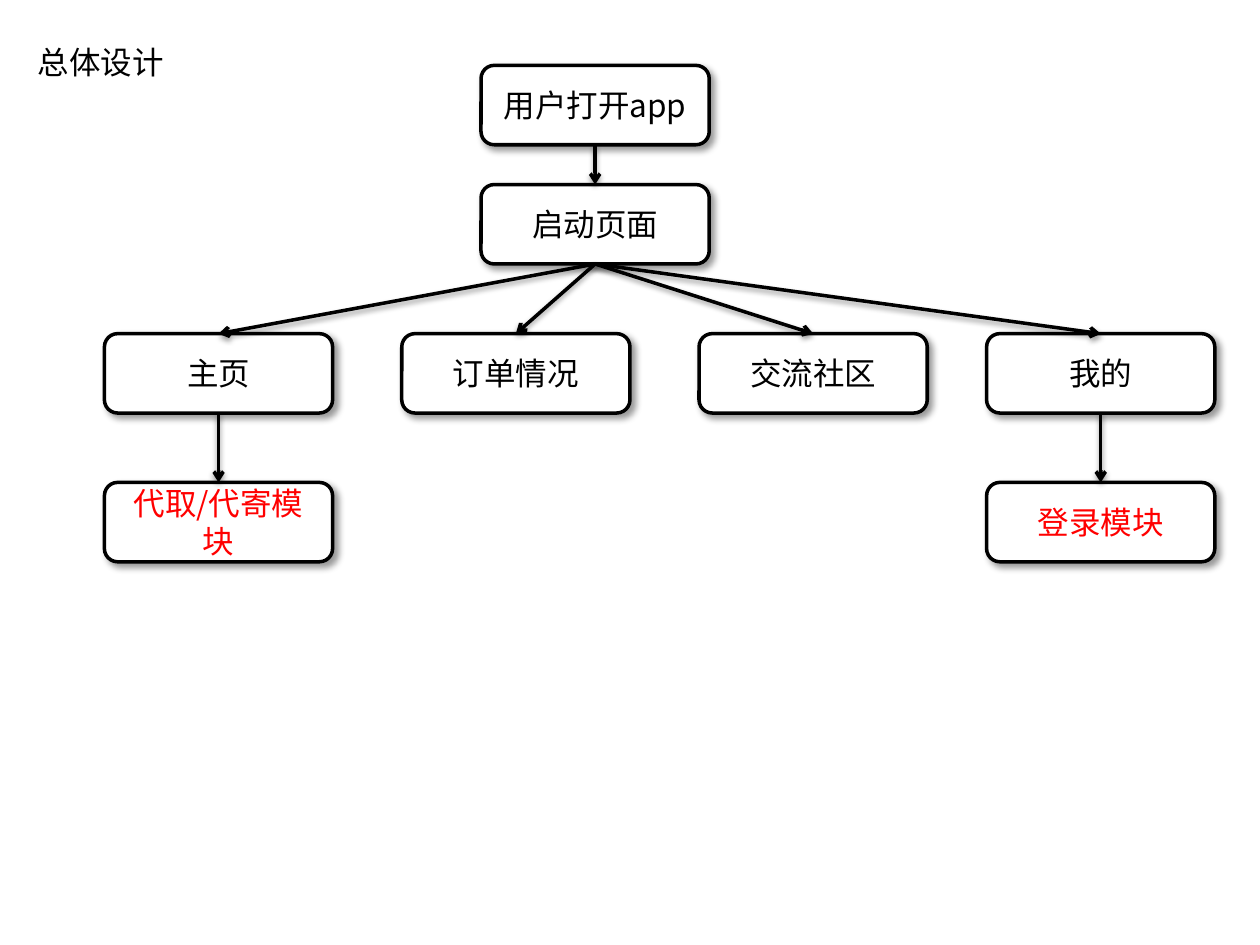
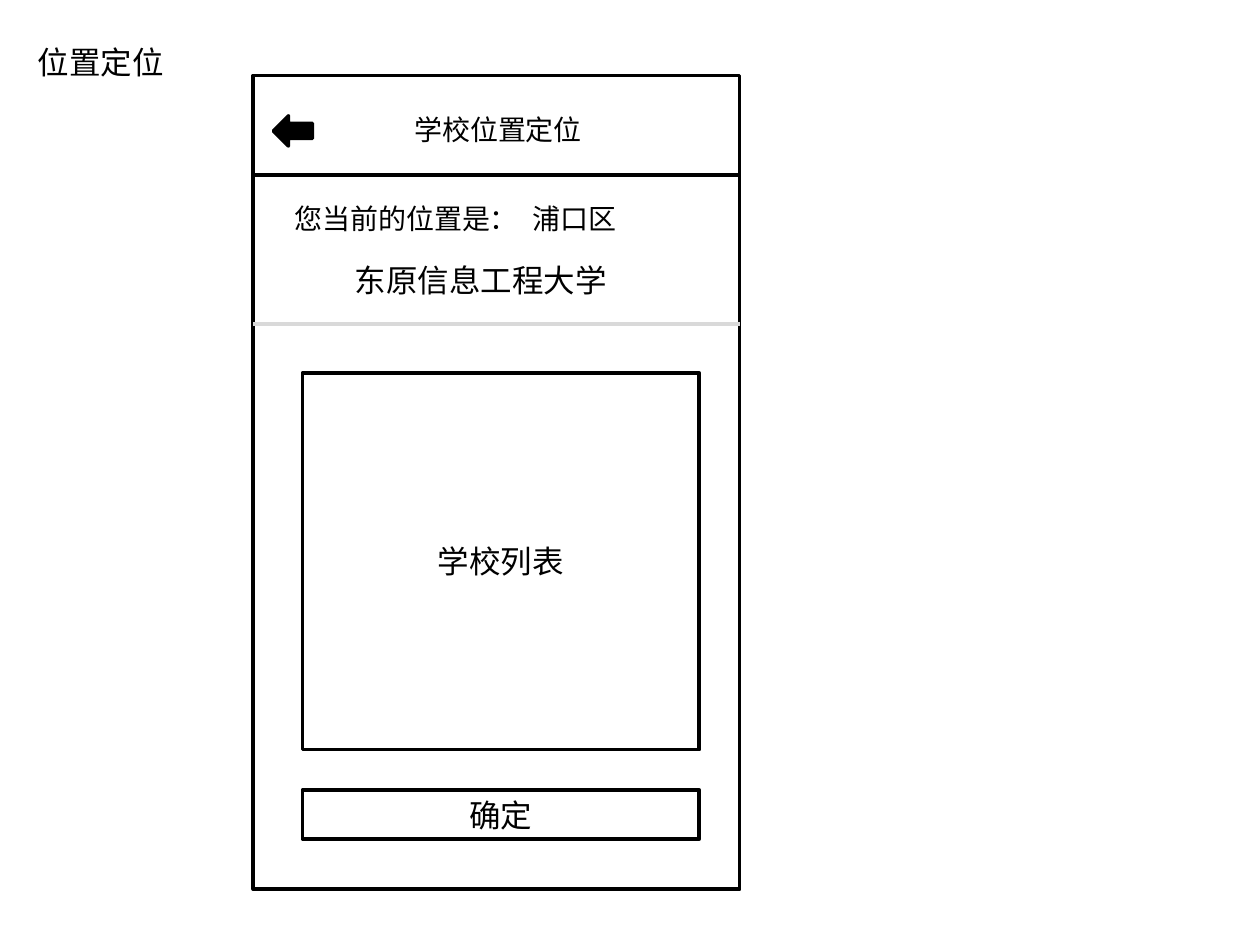
from dataclasses import dataclass

import lxml.etree
import pptx
import pptx.dml.color
import pptx.enum.shapes
import pptx.enum.text
import pptx.oxml.ns
import pptx.util

Pt = pptx.util.Pt
qn = pptx.oxml.ns.qn
Preset = pptx.enum.shapes.MSO_SHAPE
Align = pptx.enum.text.PP_ALIGN

COLORS = {"ink": "000000", "paper": "FFFFFF", "module": "FF0000", "divider": "D9D9D9"}
FONT = "Noto Sans CJK SC"
NODE_WIDTH, NODE_HEIGHT = 130.4, 45.36


@dataclass(frozen=True)
class Shadow:
    blur: float
    distance: float
    angle: int
    opacity: int


@dataclass(frozen=True)
class Node:
    text: str
    left: float
    top: float
    parent: str = ""
    color: str = "ink"


@dataclass(frozen=True)
class Label:
    text: str
    left: float
    top: float
    width: float
    size: float = 18


@dataclass(frozen=True)
class Panel:
    left: float
    top: float
    width: float
    height: float
    text: str = ""
    preset: Preset = Preset.RECTANGLE
    fill: str = "paper"
    font: str = FONT


NODE_SHADOW = Shadow(4, 3, 45, 40)
ARROW_SHADOW = Shadow(3.15, 1.57, 90, 38)

TREE_LEFT, TREE_MIDDLE, TREE_RIGHT = 59.7, 274.9, 563.8
MENU_STEP = 169.9
ROWS = (37.4, 105.5, 190.7, 275.7)
NODES = (
    Node("用户打开app", TREE_MIDDLE, ROWS[0]),
    Node("启动页面", TREE_MIDDLE, ROWS[1], "用户打开app"),
    Node("主页", TREE_LEFT, ROWS[2], "启动页面"),
    Node("订单情况", TREE_LEFT + MENU_STEP, ROWS[2], "启动页面"),
    Node("交流社区", TREE_LEFT + 2 * MENU_STEP, ROWS[2], "启动页面"),
    Node("我的", TREE_RIGHT, ROWS[2], "启动页面"),
    Node("代取/代寄模块", TREE_LEFT, ROWS[3], "主页", "module"),
    Node("登录模块", TREE_RIGHT, ROWS[3], "我的", "module"),
)

PHONE = Panel(144.7, 43.2, 278, 465)
PANELS = (
    PHONE,
    Panel(156.2, 66.2, 22.3, 17.3, preset=Preset.LEFT_ARROW, fill="ink"),
    Panel(172.8, 213.1, 226.8, 215.3, "学校列表", font="Calibri"),
    Panel(172.8, 451.4, 226.8, 28.1, "确定"),
)
DIVIDERS = ((100.1, "ink"), (185, "divider"))
LABELS = (
    Label("学校位置定位", 229.7, 60.5, 118.8, 16),
    Label("您当前的位置是：", 161.3, 111.6, 170, 16),
    Label("浦口区", 297.4, 111.6, 85, 16),
    Label("东原信息工程大学", 195.8, 145.4, 175.7),
)


def rgb(name: str) -> pptx.dml.color.RGBColor:
    return pptx.dml.color.RGBColor.from_string(COLORS[name])


def write(shape, text: str, align: Align, size: float = 18, color: str = "ink", font: str = FONT) -> None:
    para = shape.text_frame.paragraphs[0]
    para.text = text
    para.alignment = align
    para.font.size = Pt(size)
    para.font.color.rgb = rgb(color)
    para.font.name = font
    properties = para._p.pPr.find(qn("a:defRPr"))
    lxml.etree.SubElement(properties, qn("a:ea"), typeface=FONT)


def cast_shadow(effects, shadow: Shadow) -> None:
    outer = lxml.etree.SubElement(
        effects, qn("a:outerShdw"), blurRad=str(Pt(shadow.blur)), dist=str(Pt(shadow.distance)),
        dir=str(shadow.angle * 60000), rotWithShape="0")
    color = lxml.etree.SubElement(outer, qn("a:srgbClr"), val=COLORS["ink"])
    lxml.etree.SubElement(color, qn("a:alpha"), val=str(shadow.opacity * 1000))


def draw_panel(page, panel: Panel, color: str = "ink"):
    box = page.shapes.add_shape(
        panel.preset, Pt(panel.left), Pt(panel.top), Pt(panel.width), Pt(panel.height))
    box.shadow.inherit = False
    box.fill.solid()
    box.fill.fore_color.rgb = rgb(panel.fill)
    box.line.color.rgb = rgb("ink")
    box.line.width = Pt(2)
    if panel.text:
        box.text_frame.vertical_anchor = pptx.enum.text.MSO_ANCHOR.MIDDLE
        write(box, panel.text, Align.CENTER, color=color, font=panel.font)
    return box


def draw_node(page, node: Node):
    box = draw_panel(page, Panel(node.left, node.top, NODE_WIDTH, NODE_HEIGHT, node.text,
                                 Preset.ROUNDED_RECTANGLE), node.color)
    cast_shadow(box._element.spPr.find(qn("a:effectLst")), NODE_SHADOW)
    return box


def draw_line(page, left: float, top: float, right: float, bottom: float, color: str, width: float):
    line = page.shapes.add_connector(
        pptx.enum.shapes.MSO_CONNECTOR.STRAIGHT, Pt(left), Pt(top), Pt(right), Pt(bottom))
    line.line.color.rgb = rgb(color)
    line.line.width = Pt(width)
    effects = lxml.etree.SubElement(line._element.spPr, qn("a:effectLst"))
    return line, effects


def draw_arrow(page, parent, child) -> None:
    arrow, effects = draw_line(page, 0, 0, 0, 0, "ink", 2)
    arrow.begin_connect(parent, 2)
    arrow.end_connect(child, 0)
    lxml.etree.SubElement(arrow._element.spPr.find(qn("a:ln")), qn("a:tailEnd"), type="arrow")
    cast_shadow(effects, ARROW_SHADOW)


def draw_label(page, label: Label) -> None:
    box = page.shapes.add_textbox(
        Pt(label.left), Pt(label.top), Pt(label.width), Pt(label.size * 1.2 + 7.2))
    box.text_frame.word_wrap = True
    box.text_frame.auto_size = pptx.enum.text.MSO_AUTO_SIZE.SHAPE_TO_FIT_TEXT
    write(box, label.text, Align.LEFT, label.size)


def add_page(deck, title: str):
    page = deck.slides.add_slide(deck.slide_layouts[6])
    draw_label(page, Label(title, 14.4, 20.9, 118.8))
    return page


def build_overview(deck) -> None:
    page = add_page(deck, "总体设计")
    boxes = {node.text: draw_node(page, node) for node in NODES}
    for node in NODES:
        if node.parent:
            draw_arrow(page, boxes[node.parent], boxes[node.text])


def build_location(deck) -> None:
    page = add_page(deck, "位置定位")
    for panel in PANELS:
        draw_panel(page, panel)
    for top, color in DIVIDERS:
        draw_line(page, PHONE.left, top, PHONE.left + PHONE.width, top, color, 2.25)
    for label in LABELS:
        draw_label(page, label)


deck = pptx.Presentation()
deck.slide_width, deck.slide_height = Pt(720), Pt(540)
build_overview(deck)
build_location(deck)
deck.save("out.pptx")
